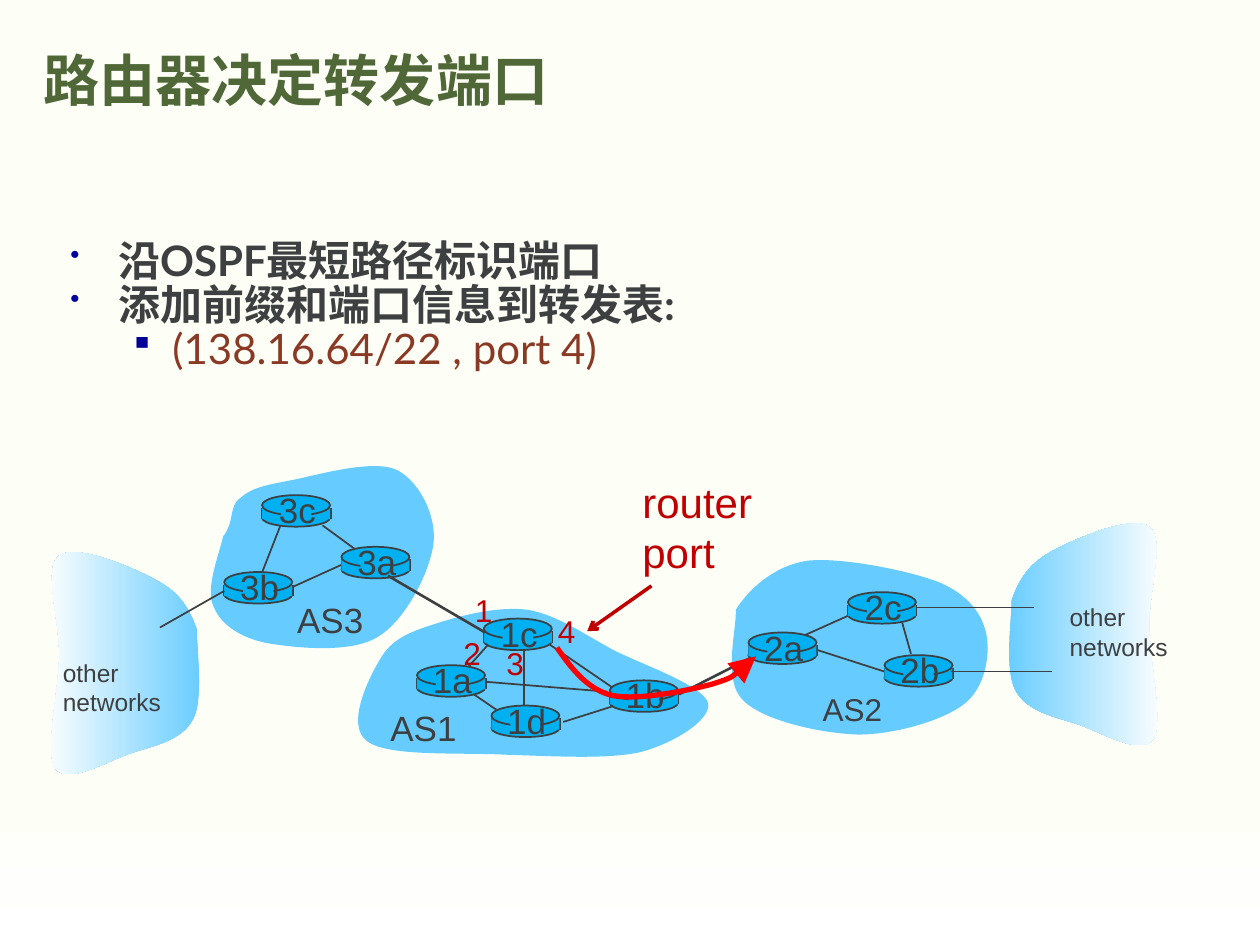
import lxml.etree
import pptx
import pptx.dml.color
import pptx.enum.shapes
import pptx.enum.text
import pptx.oxml.ns
import pptx.util

SLIDE_WIDTH = pptx.util.Inches(10)
SLIDE_HEIGHT = pptx.util.Inches(7.5)
COLUMNS, ROWS = 100, 75
CELL = SLIDE_WIDTH / COLUMNS

WHITE = pptx.dml.color.RGBColor(0xFF, 0xFF, 0xFF)
CREAM = pptx.dml.color.RGBColor(0xFD, 0xFF, 0xF7)
GREEN = pptx.dml.color.RGBColor(0x50, 0x68, 0x38)
INK = pptx.dml.color.RGBColor(0x3D, 0x3F, 0x41)
BROWN = pptx.dml.color.RGBColor(0x8A, 0x3A, 0x24)
NAVY = pptx.dml.color.RGBColor(0x00, 0x00, 0x99)
SKY = pptx.dml.color.RGBColor(0x66, 0xCC, 0xFF)
ROUTER_BLUE = pptx.dml.color.RGBColor(0x00, 0xB0, 0xF0)
RED = pptx.dml.color.RGBColor(0xFF, 0x00, 0x00)
DARK_RED = pptx.dml.color.RGBColor(0xC0, 0x00, 0x00)

SHAPES = pptx.enum.shapes.MSO_SHAPE
ALIGN = pptx.enum.text.PP_ALIGN

POINTS = [
    ("沿OSPF最短路径标识端口", 0, 3.8, 3.8, "•", 65, INK, True),
    ("添加前缀和端口信息到转发表:", 0, 3.8, 3.8, "•", 65, INK, True),
    ("(138.16.64/22 , port 4)", 1, 8.1, 3.4, "▪", 80, BROWN, False),
]

OTHER_NETWORK = [
    (80.3, 47.6), (80.9, 46), (81.6, 44.8), (83.4, 43.8), (85.2, 42.8), (89.9, 40.8),
    (91.2, 41.8), (92.5, 42.7), (91.2, 46.8), (91.2, 49.6), (91.2, 52.5), (92.4, 57.4),
    (91.5, 58.7), (90.5, 60), (87.4, 58.1), (85.6, 57.5), (83.8, 56.9), (81.5, 56.5),
    (80.6, 54.8), (79.7, 53.2), (80.3, 49.1), (80.3, 47.6),
]
MIRROR_SUM, MIRROR_DROP = 95.9, 2.3

SYSTEMS = [
    {
        "label": ("AS3", 22.6, 47, 7.3, 20),
        "cloud": [
            (17.7, 42.6), (18.7, 41.3), (18.1, 40.2), (19.1, 39.5), (20, 38.7), (21.1, 38.5),
            (23.2, 38.1), (25.2, 37.7), (29.6, 36.4), (31.5, 37.3), (33.3, 38.2), (34.7, 41),
            (34.4, 43.2), (34.1, 45.4), (32.2, 49.3), (29.9, 50.6), (27.7, 51.9), (23.2, 51.4),
            (21, 51), (18.8, 50.5), (17.4, 49.4), (16.9, 48), (16.3, 46.6), (17.5, 43.7),
            (17.7, 42.6),
        ],
        "links": [(23.2, 46.6, 27.6, 44.6), (28.2, 43.6, 25.6, 41.7), (22.3, 41.6, 20.7, 45.7)],
        "routers": [("3b", 17.8, 45.4), ("3c", 20.8, 39.3), ("3a", 27.1, 43.4)],
    },
    {
        "label": ("AS1", 30, 55.6, 7.3, 20),
        "cloud": [
            (30.3, 52.1), (31.3, 50.5), (33, 50), (34.9, 49.4), (36.8, 48.8), (39.6, 48.1),
            (41.9, 48.4), (44.2, 48.8), (46.3, 50.3), (48.7, 51.6), (51.1, 52.8), (55.8, 54.4),
            (56.2, 55.8), (56.5, 57.1), (53.5, 59), (50.8, 59.7), (48.1, 60.3), (43.7, 60),
            (40.1, 59.9), (36.5, 59.7), (30.7, 60.1), (29.1, 58.8), (27.4, 57.5), (29.3, 53.7),
            (30.3, 52.1),
        ],
        "links": [
            (38.8, 51.1, 37.2, 52.9), (41.6, 51.5, 41.6, 56.5), (43.4, 51, 48.8, 54.7),
            (48.8, 56, 44.7, 57.3), (48.2, 54.9, 38.4, 54.1), (37.3, 54.9, 39.5, 56.4),
        ],
        "routers": [("1c", 38.4, 49.1), ("1a", 33.1, 52.8), ("1d", 39, 56), ("1b", 48.4, 54)],
    },
    {
        "label": ("AS2", 64.3, 54.3, 6.7, 18),
        "cloud": [
            (58.4, 48.4), (59.4, 46.8), (61.4, 44.9), (64.1, 44.5), (66.8, 44.2), (72.2, 45.3),
            (74.5, 46.2), (76.9, 47.2), (78, 48.8), (78.3, 50.4), (78.6, 52), (78.2, 54.6),
            (76.5, 55.9), (74.8, 57.2), (71, 58.3), (68.1, 58.3), (65.1, 58.2), (60.6, 57.2),
            (59, 55.6), (57.3, 54), (58.5, 49.9), (58.4, 48.4),
        ],
        "links": [(63, 50.8, 67.7, 48.7), (64.9, 51.6, 70.2, 53.3), (71.6, 49.4, 72.3, 51.9)],
        "routers": [("2a", 59.4, 50.2), ("2c", 67.3, 47), ("2b", 70.2, 52)],
    },
]

OUTSIDE_LINKS = [
    (17.8, 46.9, 12.7, 49.8, 1), (72.7, 48.2, 82.1, 48.2, 0.75), (75.5, 53.3, 83.5, 53.3, 0.75),
    (53.9, 55.1, 59.6, 52.2, 1.5), (30.8, 45.7, 38.5, 50.2, 1.5),
]
FORWARDING_ROUTE = [
    (44.2, 51.4), (45.4, 53.1), (46.6, 54.7), (48.6, 55.2), (50.7, 55.6), (54.6, 54.8),
    (56.5, 54.3), (58.4, 53.7), (59.2, 52.9), (60, 52.1),
]
PORTS = [("1", 36.7, 46.4), ("2", 35.8, 49.8), ("3", 39.2, 50.6), ("4", 43.3, 48.1)]


def grid(*cells):
    return [round(cell * CELL) for cell in cells]


def add_child(parent, tag, **attributes):
    return lxml.etree.SubElement(parent, pptx.oxml.ns.qn(tag), attributes)


def add_text(slide, words, place, size, color, font="Arial", bold=False, wrap=False, align=ALIGN.LEFT):
    box = slide.shapes.add_textbox(*grid(*place))
    frame = box.text_frame
    frame.word_wrap = wrap
    frame.text = words
    for paragraph in frame.paragraphs:
        paragraph.alignment = align
        for run in paragraph.runs:
            style_run(run, size, color, font, bold)
    return frame


def style_run(run, size, color, font, bold):
    run.font.name = font
    run.font.size = pptx.util.Pt(size)
    run.font.bold = bold
    run.font.color.rgb = color


def add_points(slide):
    frame = add_text(slide, "\n".join(point[0] for point in POINTS), (4.6, 19.2, 90.8, 22.5),
                     24, INK, "Lato", wrap=True)
    for index, (paragraph, point) in enumerate(zip(frame.paragraphs, POINTS)):
        _, level, margin, hanging, bullet, bullet_size, color, bold = point
        paragraph.level = level
        paragraph.line_spacing = 0.7
        if index:
            paragraph.space_before = pptx.util.Pt(5)
        properties = paragraph._p.get_or_add_pPr()
        properties.set("marL", str(grid(margin)[0]))
        properties.set("indent", str(-grid(hanging)[0]))
        add_child(add_child(properties, "a:buClr"), "a:srgbClr", val=str(NAVY))
        add_child(properties, "a:buSzPct", val=str(bullet_size * 1000))
        add_child(properties, "a:buChar", char=bullet)
        style_run(paragraph.runs[0], 24, color, "Lato", bold)


def add_block(slide, kind, place, outlined=False):
    block = slide.shapes.add_shape(kind, *grid(*place))
    block.shadow.inherit = False
    block.fill.solid()
    block.fill.fore_color.rgb = ROUTER_BLUE
    if outlined:
        block.line.color.rgb = INK
        block.line.width = pptx.util.Pt(1)
    else:
        block.line.fill.background()
    return block


def paint_gradient(shape, start, end, angle, start_at=0):
    shape.fill.gradient()
    shape.fill.gradient_angle = angle
    first, last = shape.fill.gradient_stops
    first.color.rgb, last.color.rgb = start, end
    first.position, last.position = start_at, 1


def add_link(slide, ends, width=1, color=INK, arrow=None):
    link = slide.shapes.add_connector(pptx.enum.shapes.MSO_CONNECTOR.STRAIGHT, *grid(*ends))
    link.line.color.rgb = color
    link.line.width = pptx.util.Pt(width)
    if arrow:
        add_child(link.line._get_or_add_ln(), "a:tailEnd", type=arrow)
    add_child(link._element.spPr, "a:effectLst")


def add_curve(slide, knots, closed=True):
    builder = slide.shapes.build_freeform(*grid(*knots[0]), scale=1.0)
    builder.add_line_segments([grid(*knot) for knot in knots[1:]], close=closed)
    curve = builder.convert_to_shape()
    segments = list(curve._element.iter(pptx.oxml.ns.qn("a:lnTo")))
    for first in range(0, len(segments), 3):
        triple = segments[first:first + 3]
        bezier = lxml.etree.Element(pptx.oxml.ns.qn("a:cubicBezTo"))
        triple[0].addprevious(bezier)
        for segment in triple:
            bezier.append(segment[0])
            segment.getparent().remove(segment)
    curve.shadow.inherit = False
    return curve


def add_cloud(slide, knots):
    cloud = add_curve(slide, knots)
    cloud.line.fill.background()
    cloud.fill.solid()
    cloud.fill.fore_color.rgb = SKY
    return cloud


def add_router(slide, name, x, y):
    add_block(slide, SHAPES.OVAL, (x, y + 1.1, 5.4, 1.4), True)
    for side in (x, x + 5.45):
        add_link(slide, (side, y + 1, side, y + 1.9))
    add_block(slide, SHAPES.RECTANGLE, (x, y + 1, 5.4, 0.9))
    add_block(slide, SHAPES.OVAL, (x, y, 5.4, 1.6), True)
    add_block(slide, SHAPES.RECTANGLE, (x + 1.5, y + 0.2, 2.4, 2))
    add_text(slide, name, (x + 0.25, y - 1, 5.1, 4.3), 20, INK, align=ALIGN.CENTER)


def add_system(slide, system):
    add_cloud(slide, system["cloud"])
    name, x, y, width, size = system["label"]
    add_text(slide, name, (x, y, width, 4.2), size, INK)
    for ends in system["links"]:
        add_link(slide, ends)
    for router in system["routers"]:
        add_router(slide, *router)


def add_other_networks(slide):
    mirrored = [(MIRROR_SUM - x, y + MIRROR_DROP) for x, y in OTHER_NETWORK]
    for knots, angle, label in ((OTHER_NETWORK, 0, (83.9, 47.3)), (mirrored, 180, (4, 51.7))):
        paint_gradient(add_cloud(slide, knots), SKY, WHITE, angle)
        add_text(slide, "other\nnetworks", (*label, 9.8, 5.7), 14, INK)


def add_route(slide):
    route = add_curve(slide, FORWARDING_ROUTE, closed=False)
    route.fill.background()
    route.line.color.rgb = RED
    route.line.width = pptx.util.Pt(3)
    add_child(route.line._get_or_add_ln(), "a:tailEnd", type="triangle", w="lg", len="lg")


def main():
    deck = pptx.Presentation()
    deck.slide_width, deck.slide_height = SLIDE_WIDTH, SLIDE_HEIGHT
    slide = deck.slides.add_slide(deck.slide_layouts[6])
    backdrop = add_block(slide, SHAPES.RECTANGLE, (0, 0, COLUMNS, ROWS))
    paint_gradient(backdrop, CREAM, WHITE, 270, 0.84)
    title = add_text(slide, "路由器决定转发端口", (2.5, 0, 85, 12.5), 32, GREEN, "Lato", True, True)
    title.vertical_anchor = pptx.enum.text.MSO_ANCHOR.MIDDLE
    add_points(slide)
    add_other_networks(slide)
    for system in SYSTEMS:
        add_system(slide, system)
    for *ends, width in OUTSIDE_LINKS:
        add_link(slide, ends, width)
    add_route(slide)
    add_text(slide, "router\vport", (50, 37.3, 10.9, 9.1), 24, DARK_RED)
    add_link(slide, (51.7, 46.5, 46.6, 50.1), 2, DARK_RED, "arrow")
    for number, x, y in PORTS:
        add_text(slide, number, (x, y, 3.3, 4), 18, DARK_RED)
    deck.save("out.pptx")


if __name__ == "__main__":
    main()
